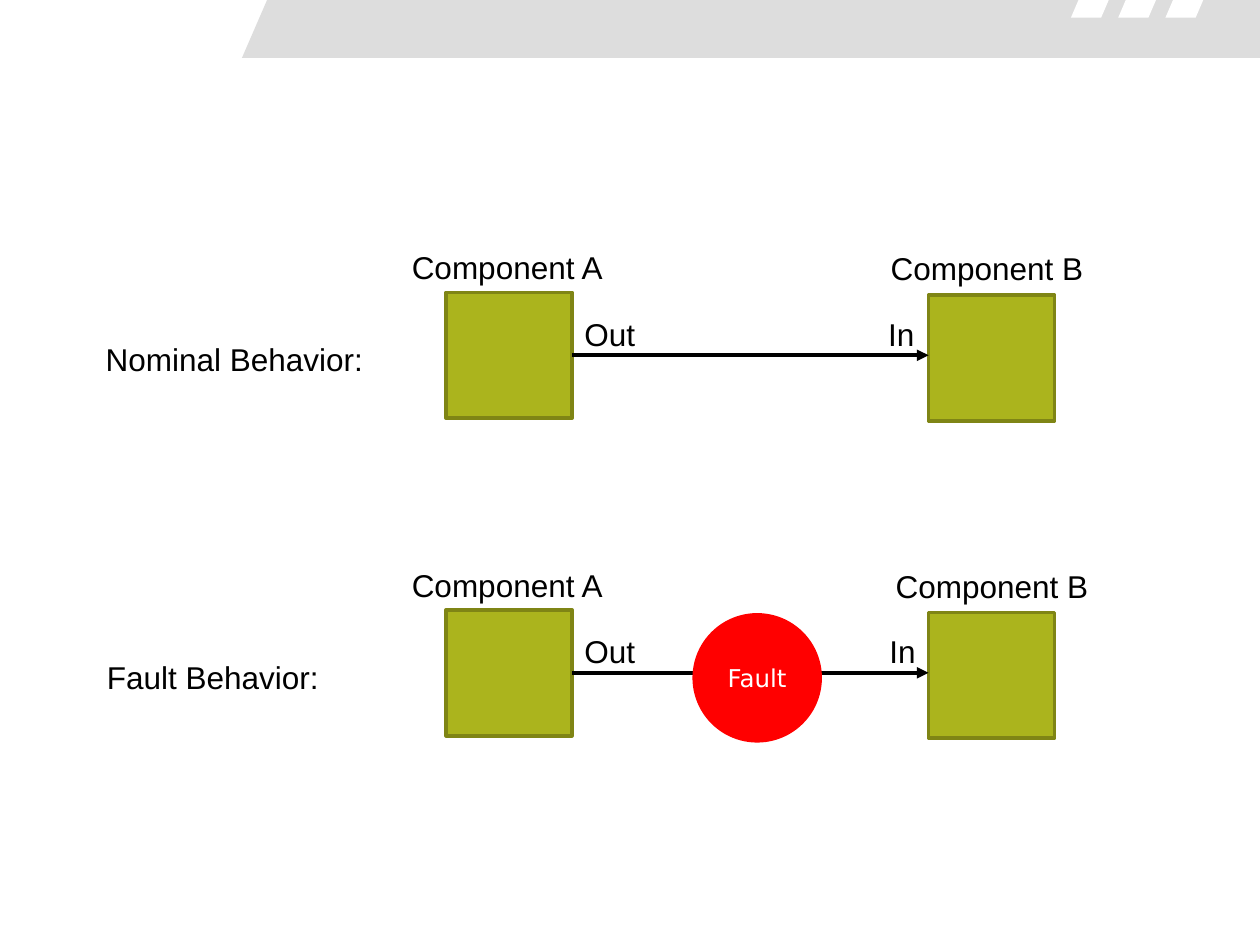
from dataclasses import dataclass

from lxml.etree import SubElement
from pptx import Presentation
from pptx.dml.color import RGBColor
from pptx.enum.shapes import MSO_CONNECTOR, MSO_SHAPE
from pptx.enum.text import MSO_ANCHOR, PP_ALIGN
from pptx.oxml.ns import qn
from pptx.util import Inches, Pt

COLORS = {"band": "DDDDDD", "white": "FFFFFF", "box": "ABB41D",
          "edge": "7F8515", "ink": "000000", "fault": "FF0000"}

# Grid of 10 columns by 7.5 rows, one inch per cell
COLS, ROWS = 10, 7.5
CELL = Inches(1)
A_COL, B_COL = 3.54, 7.37
B_DROP = 0.02  # component B sits slightly below A
TEXT_H = 0.4


@dataclass
class Slant:
    """Bar with slanted ends, hanging from the top edge."""
    left: float
    width: float
    height: float
    lean: float
    color: str
    square: bool = False  # right end upright


@dataclass
class Case:
    """One behaviour: its title and two linked components."""
    title: str
    title_col: float
    top: float
    b_label: float
    in_col: float


SLANTS = [Slant(1.92, 8.08, 0.46, 0.2, "band", True)] + [
    Slant(8.5 + 0.375 * i, 0.3, 0.14, 0.06, "white") for i in range(3)]
CASES = [Case("Nominal Behavior:", 0.74, 2.32, 6.97, 6.95),
         Case("Fault Behavior:", 0.75, 4.84, 7.01, 6.96)]


def grid(*cells: float) -> list[int]:
    return [round(n * CELL) for n in cells]


def tint(name: str) -> RGBColor:
    return RGBColor.from_string(COLORS[name])


def paint(shape, fill: str, edge: str | None = None) -> None:
    shape.shadow.inherit = False
    shape.fill.solid()
    shape.fill.fore_color.rgb = tint(fill)
    if edge:
        shape.line.color.rgb = tint(edge)
        shape.line.width = Pt(2)
    else:
        shape.line.fill.background()


def draw_slant(slide, bar: Slant) -> None:
    right = bar.left + bar.width
    foot = right if bar.square else right - bar.lean
    pen = slide.shapes.build_freeform(*grid(bar.left, bar.height), scale=1.0)
    pen.add_line_segments([grid(foot, bar.height), grid(right, 0),
                           grid(bar.left + bar.lean, 0)], close=True)
    paint(pen.convert_to_shape(), bar.color)


def write(frame, text: str, size: int, font: str, color: str) -> None:
    par = frame.paragraphs[0]
    par.text = text
    par.font.size = Pt(size)
    par.font.name = font
    par.font.color.rgb = tint(color)


def label(slide, text: str, col: float, row: float, width: float) -> None:
    box = slide.shapes.add_textbox(*grid(col, row, width, TEXT_H))
    box.text_frame.word_wrap = False
    write(box.text_frame, text, 18, "Arial", "ink")


def draw_box(slide, col: float, row: float):
    box = slide.shapes.add_shape(MSO_SHAPE.RECTANGLE, *grid(col, row, 1, 1))
    paint(box, "box", "edge")
    return box


def draw_arrow(slide, source, row: float) -> None:
    line = slide.shapes.add_connector(
        MSO_CONNECTOR.STRAIGHT, *grid(A_COL + 1, row, B_COL, row))
    line.begin_connect(source, 3)
    line.line.color.rgb = tint("ink")
    line.line.width = Pt(2.25)
    SubElement(line.line._get_or_add_ln(), qn("a:tailEnd"), type="triangle")
    SubElement(line._element.spPr, qn("a:effectLst"))


def draw_case(slide, case: Case) -> None:
    top = case.top
    start = draw_box(slide, A_COL, top)
    draw_box(slide, B_COL, top + B_DROP)
    label(slide, "Component A", 3.17, top - TEXT_H, 1.73)
    label(slide, "Component B", case.b_label, top - TEXT_H + 0.01, 1.74)
    draw_arrow(slide, start, top + 0.5)
    label(slide, "Out", A_COL + 1, top + 0.13, 0.61)
    label(slide, "In", case.in_col, top + 0.13, 0.41)
    label(slide, case.title, case.title_col, top + 0.33, 2.33)


def draw_fault(slide, col: float, row: float) -> None:
    disc = slide.shapes.add_shape(MSO_SHAPE.OVAL, *grid(col, row, 1, 1))
    paint(disc, "fault", "fault")
    write(disc.text_frame, "Fault", 14, "DejaVu Sans", "white")
    disc.text_frame.vertical_anchor = MSO_ANCHOR.MIDDLE
    disc.text_frame.paragraphs[0].alignment = PP_ALIGN.CENTER


def main() -> None:
    deck = Presentation()
    deck.slide_width, deck.slide_height = grid(COLS, ROWS)
    slide = deck.slides.add_slide(deck.slide_layouts[6])

    # Header band
    for bar in SLANTS:
        draw_slant(slide, bar)

    # Both behaviours, then the fault over the second link
    for case in CASES:
        draw_case(slide, case)
    draw_fault(slide, 5.51, 4.88)

    deck.save("out.pptx")


if __name__ == "__main__":
    main()
